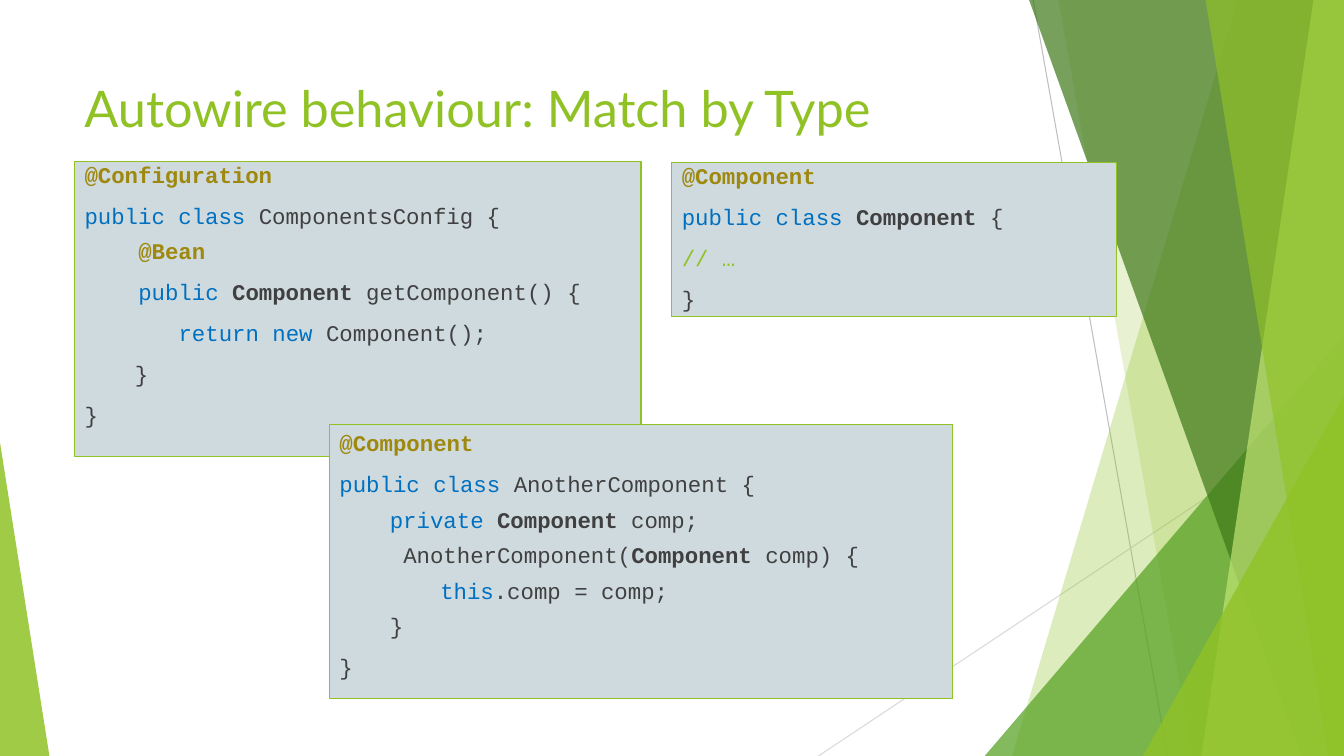
from pptx import Presentation
from pptx.dml.color import RGBColor
from pptx.enum.shapes import MSO_CONNECTOR as CONN, MSO_SHAPE as SHAPE
from pptx.enum.text import MSO_ANCHOR as ANCHOR
from pptx.oxml.ns import qn
from pptx.util import Pt
from lxml import etree

W, H = 960, 540
LIME, GREEN, FOREST, PALE = "90C226", "54A021", "3F7819", "C0E474"
INK, BLUE, GOLD, PANEL = "404040", "0070C0", "9E880D", "CFDADF"
CHAR = 9.6  # width of one 16 pt Courier New character
TAB = 36

TITLE = "Autowire behaviour: Match by Type"

# (x1, y1, x2, y2, colour)
RAYS = [(738, 0, 834, H, "BFBFBF"), (W, 290, 584.6, H, "D9D9D9")]

# (corner points, colour, opacity %)
FACETS = [
    ([(884.2, 0), (W, 0), (W, H), (722.9, H)], LIME, 30),
    ([(756, 0), (W, 0), (W, H), (851.8, H)], LIME, 20),
    ([(W, 239.8), (W, H), (703.4, H)], GREEN, 72),
    ([(735.1, 0), (W, 0), (W, H), (929.5, H)], FOREST, 70),
    ([(938.2, 0), (W, 0), (W, H), (858.2, H)], PALE, 70),
    ([(861.1, 0), (W, 0), (W, H), (949, H)], LIME, 65),
    ([(W, 283), (W, H), (816.5, H)], LIME, 80),
    ([(0, 316.1), (35.3, H), (0, H)], LIME, 85),
]

KEYWORD, PLAIN = {"color": BLUE}, {"color": INK}
TYPE, NOTE = {"color": INK, "bold": True}, {"color": LIME}
ANNOTATION = {"color": GOLD, "bold": True}

# (box, lines); a line is (indent, line spacing, [(text, format)])
LISTINGS = [
    ((53.3, 115.2, 404.6, 210.9), [
        (0, 0.8, [("@Configuration", ANNOTATION)]),
        (0, 1, [("public class ", KEYWORD), ("ComponentsConfig {", PLAIN)]),
        (4 * CHAR, 0.8, [("@Bean", ANNOTATION)]),
        (4 * CHAR, 1, [("public ", KEYWORD), ("Component ", TYPE), ("getComponent() {", PLAIN)]),
        (7 * CHAR, 1, [("return new", KEYWORD), (" Component();", PLAIN)]),
        (TAB, 1, [("}", PLAIN)]),
        (0, 1, [("}", PLAIN)]),
    ]),
    ((235.4, 303.1, 445, 195.6), [
        (0, 1, [("@Component", ANNOTATION)]),
        (0, 1, [("public class ", KEYWORD), ("AnotherComponent {", PLAIN)]),
        (TAB, 0.8, [("private ", KEYWORD), ("Component", TYPE), (" comp;", PLAIN)]),
        (TAB + CHAR, 0.8, [("AnotherComponent(", PLAIN), ("Component", TYPE), (" comp) {", PLAIN)]),
        (2 * TAB, 0.8, [("this", KEYWORD), (".comp = comp;", PLAIN)]),
        (TAB, 0.8, [("}", PLAIN)]),
        (0, 1, [("}", PLAIN)]),
    ]),
    ((479.9, 116.3, 317.5, 109.8), [
        (0, 0.8, [("@Component", ANNOTATION)]),
        (0, 1, [("public class ", KEYWORD), ("Component", TYPE), (" {", PLAIN)]),
        (0, 1, [("// …", NOTE)]),
        (0, 1, [("}", PLAIN)]),
    ]),
]


def rgb(color):
    return RGBColor.from_string(color)


def add_text(p, text, size=16, font="Courier New", color=INK, bold=False):
    r = p.add_run()
    r.text = text
    r.font.size, r.font.name, r.font.bold = Pt(size), font, bold
    r.font.color.rgb = rgb(color)


def fill(sp, color, opacity=100):
    sp.shadow.inherit = False
    sp.fill.solid()
    sp.fill.fore_color.rgb = rgb(color)
    if opacity < 100:
        clr = sp.fill._xPr.find(qn("a:solidFill"))[0]
        etree.SubElement(clr, qn("a:alpha")).set("val", str(opacity * 1000))


def add_ray(s, x1, y1, x2, y2, color):
    ray = s.shapes.add_connector(CONN.STRAIGHT, Pt(x1), Pt(y1), Pt(x2), Pt(y2))
    ray.line.color.rgb, ray.line.width = rgb(color), Pt(0.75)
    etree.SubElement(ray._element.spPr, qn("a:effectLst"))


def add_facet(s, points, color, opacity):
    start, *rest = [(Pt(x), Pt(y)) for x, y in points]
    outline = s.shapes.build_freeform(*start)
    outline.add_line_segments(rest, close=True)
    sp = outline.convert_to_shape()
    fill(sp, color, opacity)
    sp.line.fill.background()


def add_listing(s, box, lines):
    sp = s.shapes.add_shape(SHAPE.RECTANGLE, *map(Pt, box))
    fill(sp, PANEL)
    sp.line.color.rgb, sp.line.width = rgb(LIME), Pt(0.75)
    tf = sp.text_frame
    tf.word_wrap, tf.vertical_anchor = True, ANCHOR.TOP
    for i, (indent, spacing, runs) in enumerate(lines):
        p = tf.paragraphs[0] if i == 0 else tf.add_paragraph()
        pPr = p._p.get_or_add_pPr()
        pPr.set("marL", str(Pt(indent)))
        pPr.set("algn", "l")
        p.line_spacing, p.space_before = float(spacing), Pt(10)
        for text, style in runs:
            add_text(p, text, **style)


def main():
    prs = Presentation()
    prs.slide_width, prs.slide_height = Pt(W), Pt(H)
    s = prs.slides.add_slide(prs.slide_layouts[6])
    for ray in RAYS:
        add_ray(s, *ray)
    for facet in FACETS:
        add_facet(s, *facet)

    tf = s.shapes.add_textbox(Pt(53.3), Pt(48.2), Pt(676.8), Pt(56.9)).text_frame
    tf.word_wrap, tf.vertical_anchor = True, ANCHOR.MIDDLE
    add_text(tf.paragraphs[0], TITLE, size=36, font="Lato", color=LIME)

    for listing in LISTINGS:
        add_listing(s, *listing)
    prs.save("out.pptx")


if __name__ == "__main__":
    main()
